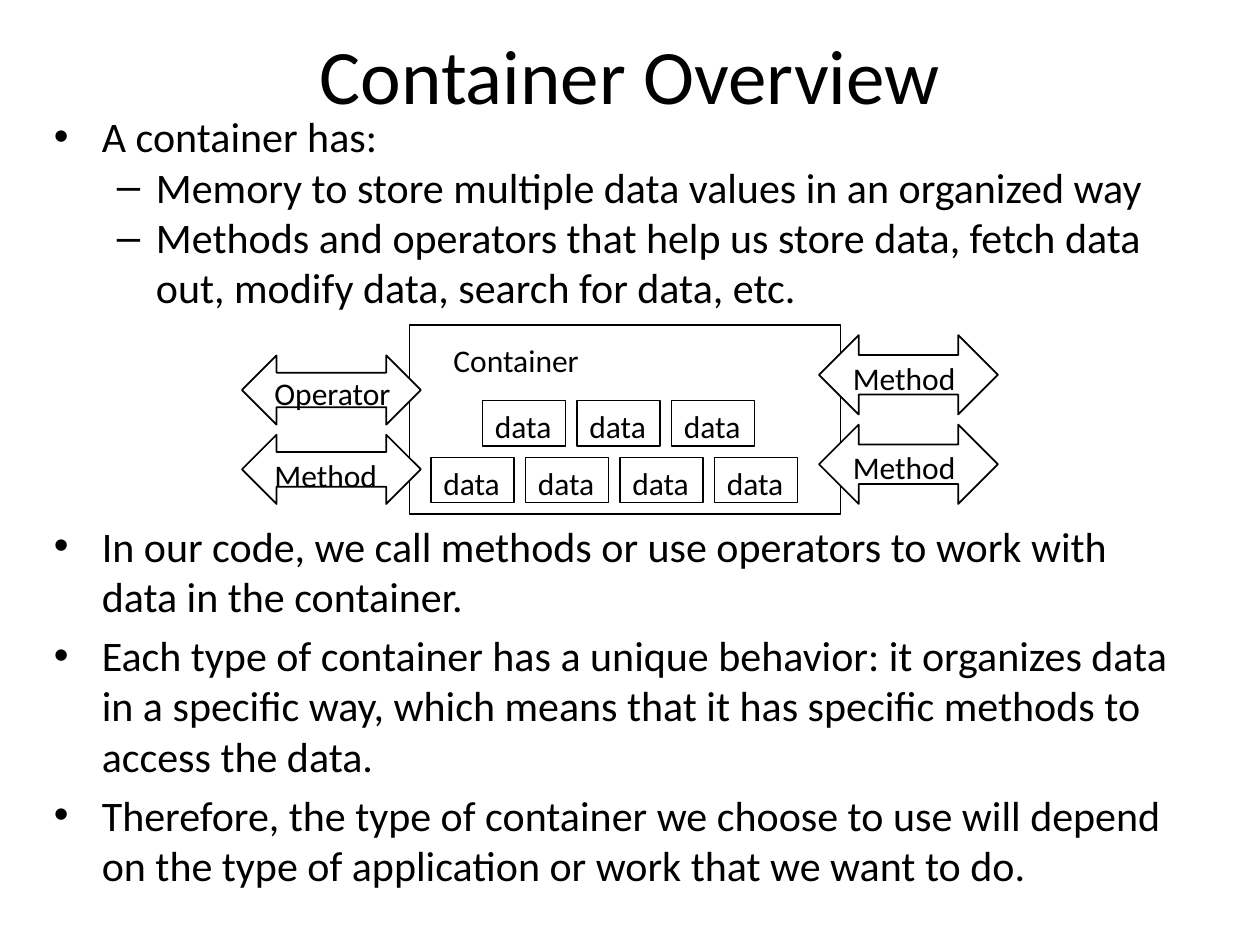
"""Builds the Container Overview slide."""
from lxml import etree
from pptx import Presentation
from pptx.dml.color import RGBColor
from pptx.enum import shapes, text
from pptx.oxml import ns
from pptx.util import Inches, Pt


def outlined(kind, left, top, width, height, weight, fill=None):
    shape = slide.shapes.add_shape(kind, Inches(left), Inches(top), Inches(width), Inches(height))
    shape.shadow.inherit = False
    if fill:
        shape.fill.solid()
        shape.fill.fore_color.rgb = RGBColor.from_string(fill)
    else:
        shape.fill.background()
    shape.line.color.rgb = RGBColor.from_string("000000")
    shape.line.width = Pt(weight)
    return shape


def write(shape, lines, size=18, align="LEFT", anchor="TOP", right=0, color="000000"):
    frame = shape.text_frame
    frame.word_wrap = True
    frame.margin_right = Inches(right)
    frame.vertical_anchor = getattr(text.MSO_ANCHOR, anchor)
    for number, (words, bullet, indent, hanging, before) in enumerate(lines):
        paragraph = frame.add_paragraph() if number else frame.paragraphs[0]
        paragraph.alignment = getattr(text.PP_ALIGN, align)
        paragraph.space_before = Pt(before)
        run = paragraph.add_run()
        run.text = words
        run.font.name = "Calibri"
        run.font.size = Pt(size)
        run.font.color.rgb = RGBColor.from_string(color)
        if bullet:
            properties = paragraph._p.get_or_add_pPr()
            properties.set("marL", str(Inches(indent)))
            properties.set("indent", str(-Inches(hanging)))
            etree.SubElement(properties, ns.qn("a:buFont")).set("typeface", "Arial")
            etree.SubElement(properties, ns.qn("a:buChar")).set("char", bullet)


deck = Presentation()
deck.slide_width, deck.slide_height = Inches(10), Inches(7.5)
slide = deck.slides.add_slide(deck.slide_layouts[6])

plain = (None, 0, 0, 0)
point = ("•", 0.38, 0.38)
subpoint = ("–", 0.81, 0.31, 0)

title = slide.shapes.add_textbox(Inches(0.5), Inches(0.17), Inches(9), Inches(0.83))
write(title, [("Container Overview", *plain)], size=44, align="CENTER", anchor="MIDDLE", right=0.1)

features = [
    ("A container has:", *point, 0),
    ("Memory to store multiple data values in an organized way", *subpoint),
    ("Methods and operators that help us store data, fetch data out, modify data, "
     "search for data, etc.", *subpoint),
]
usage = [
    ("In our code, we call methods or use operators to work with data in the container.", *point, 0),
    ("Each type of container has a unique behavior: it organizes data in a specific way, "
     "which means that it has specific methods to access the data.", *point, 4.8),
    ("Therefore, the type of container we choose to use will depend on the type of "
     "application or work that we want to do.", *point, 4.8),
]
for top, height, points in [(0.83, 1.72, features), (4.08, 2.92, usage)]:
    body = slide.shapes.add_textbox(Inches(0.33), Inches(top), Inches(9.17), Inches(height))
    write(body, points, size=24, right=0.1)

outlined(shapes.MSO_SHAPE.RECTANGLE, 3.25, 2.58, 3.42, 1.5, 1)
heading = slide.shapes.add_textbox(Inches(3.5), Inches(2.66), Inches(1.25), Inches(0.36))
write(heading, [("Container", *plain)])

for left, top, count in [(3.83, 3.18, 3), (3.42, 3.63, 4)]:
    for column in range(count):
        tile = outlined(shapes.MSO_SHAPE.RECTANGLE, left + 0.75 * column, top, 0.66, 0.36, 0.75)
        write(tile, [("data", *plain)])

for name, left, top, height, label_left, label_top in [
    ("Method", 6.5, 2.66, 0.63, 6.67, 2.8),
    ("Method", 6.5, 3.37, 0.63, 6.67, 3.51),
    ("Operator", 1.92, 2.82, 0.55, 2.08, 2.92),
    ("Method", 1.92, 3.45, 0.55, 2.08, 3.57),
]:
    outlined(shapes.MSO_SHAPE.LEFT_RIGHT_ARROW, left, top, 1.42, height, 1, fill="FFFFFF")
    label = slide.shapes.add_textbox(Inches(label_left), Inches(label_top), Inches(1.1), Inches(0.4))
    write(label, [(name, *plain)])

deck.save("out.pptx")
